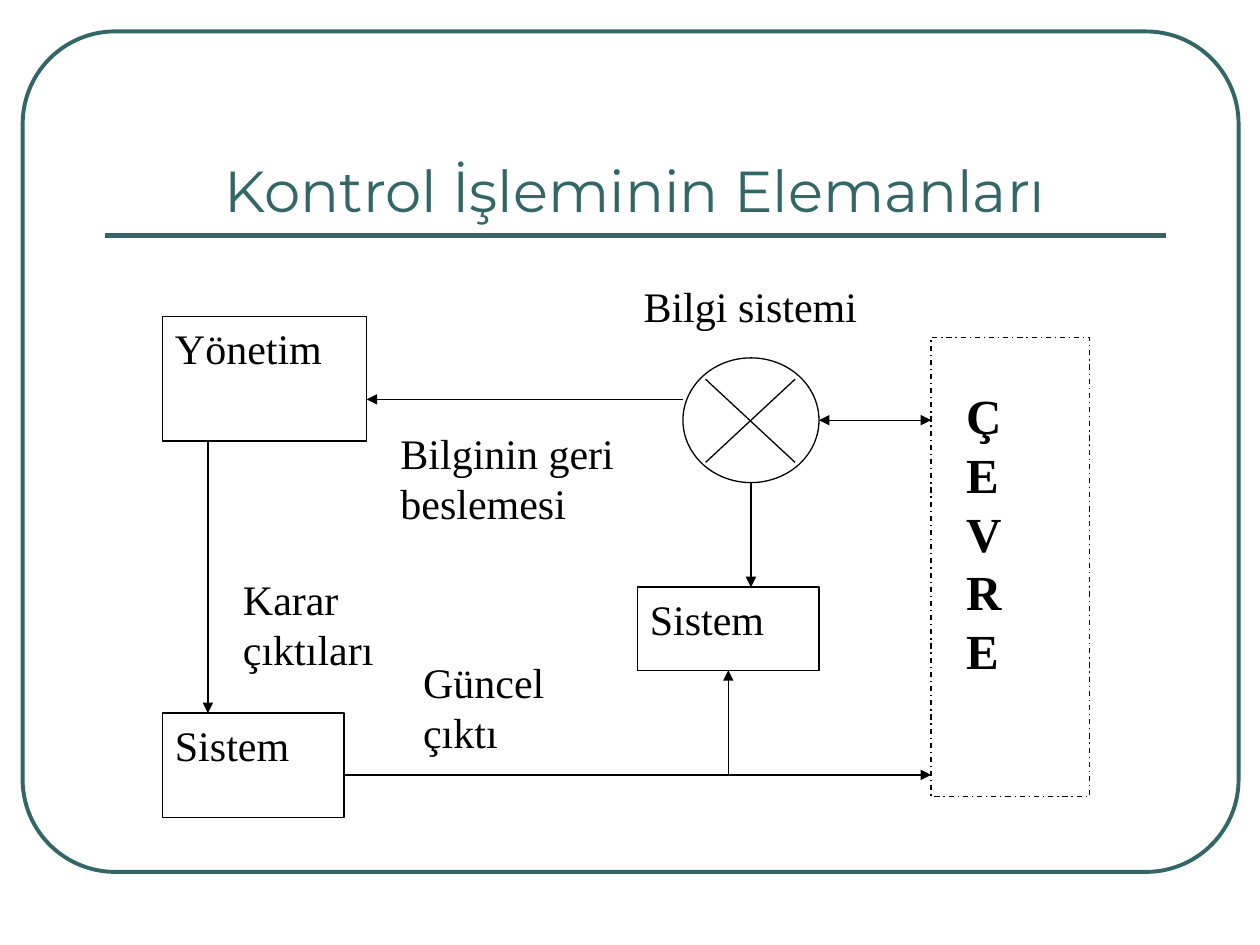
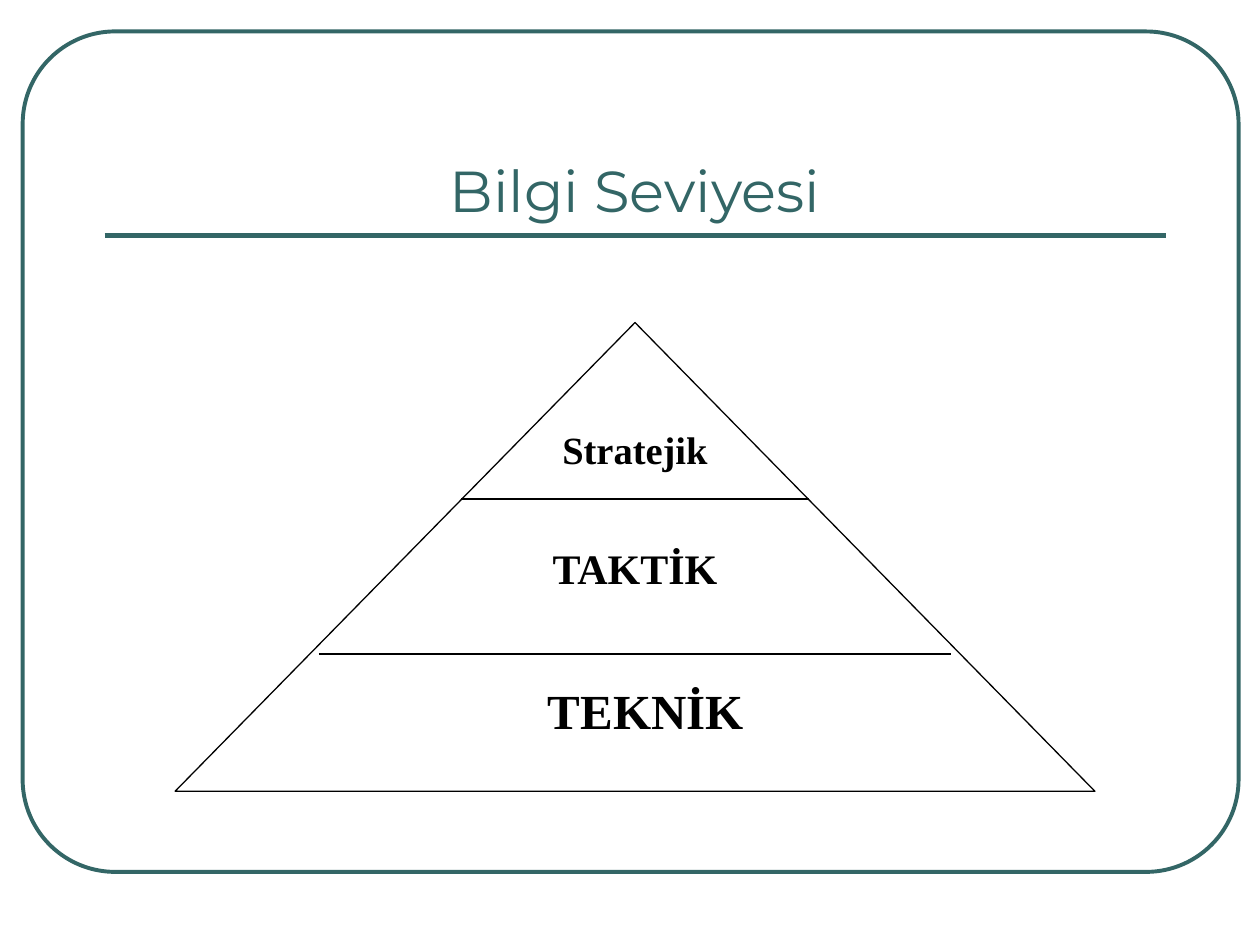
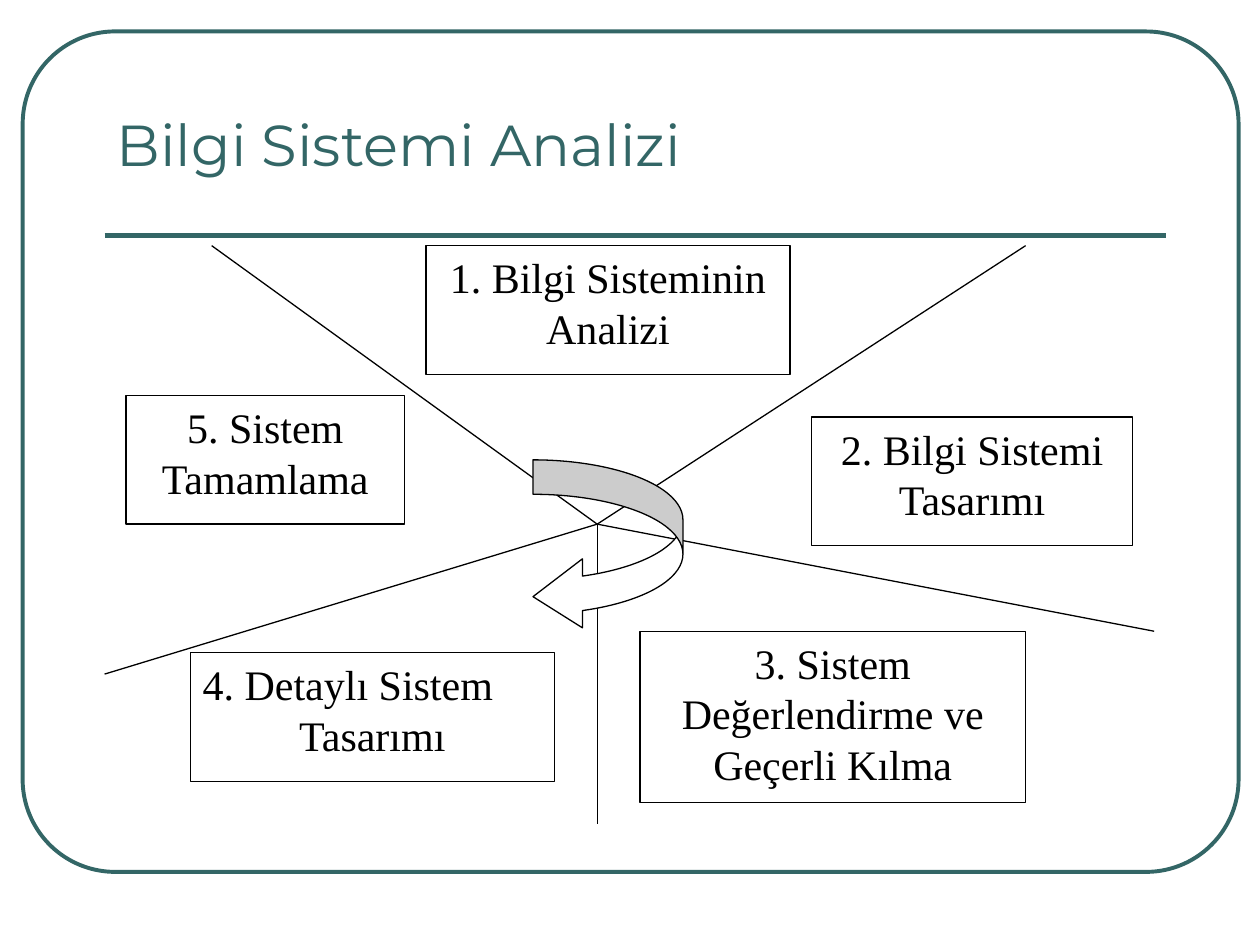
from dataclasses import dataclass

import pptx
import pptx.dml.color
import pptx.enum.dml
import pptx.enum.shapes
import pptx.enum.text
import pptx.oxml
import pptx.oxml.ns
import pptx.util
from pptx.util import Inches, Pt

TEAL, BLACK, WHITE = "336666", "000000", "FFFFFF"
TITLE_FONT, BODY_FONT = "Montserrat", "Times New Roman"
SHAPE = pptx.enum.shapes.MSO_SHAPE
LEFT = pptx.enum.text.PP_ALIGN.LEFT
CENTER = pptx.enum.text.PP_ALIGN.CENTER
ANCHOR = pptx.enum.text.MSO_ANCHOR


@dataclass
class Box:
    """A region in inches."""
    left: float
    top: float
    width: float
    height: float

    @property
    def right(self):
        return self.left + self.width

    @property
    def bottom(self):
        return self.top + self.height

    @property
    def center_x(self):
        return self.left + self.width / 2

    @property
    def center_y(self):
        return self.top + self.height / 2

    def inner(self, dx, dy, width, height):
        return Box(self.left + dx, self.top + dy, width, height)

    def point(self, dx, dy):
        return self.left + dx, self.top + dy

    def lengths(self):
        return [Inches(v) for v in (self.left, self.top, self.width, self.height)]


FRAME = Box(0.18, 0.25, 9.65, 6.67)
TITLE = Box(0.83, 0.58, 8.42, 1.25)
RULE_Y = 1.87


def rgb(color):
    return pptx.dml.color.RGBColor.from_string(color)


def write(frame, lines, size, font=BODY_FONT, color=BLACK, bold=False,
          aligns=(LEFT,), anchor=ANCHOR.TOP):
    """Write one paragraph per line; the last alignment serves the remaining lines."""
    frame.word_wrap = True
    frame.vertical_anchor = anchor
    for i, line in enumerate(lines):
        paragraph = frame.add_paragraph() if i else frame.paragraphs[0]
        paragraph.text = line
        paragraph.alignment = aligns[min(i, len(aligns) - 1)]
        paragraph.font.name = font
        paragraph.font.size = Pt(size)
        paragraph.font.bold = bold
        paragraph.font.color.rgb = rgb(color)


def draw(slide, kind, box, line=BLACK, weight=0.75, fill=WHITE):
    shape = slide.shapes.add_shape(kind, *box.lengths())
    shape.shadow.inherit = False
    if fill:
        shape.fill.solid()
        shape.fill.fore_color.rgb = rgb(fill)
    else:
        shape.fill.background()
    shape.line.color.rgb = rgb(line)
    shape.line.width = Pt(weight)
    return shape


def card(slide, box, *lines, size=24, line=BLACK, **style):
    shape = draw(slide, SHAPE.RECTANGLE, box, line)
    write(shape.text_frame, lines, size, **style)


def label(slide, box, *lines, **style):
    """A card whose outline blends into the background."""
    card(slide, box, *lines, line=WHITE, **style)


def connect(slide, start, end, color=BLACK, weight=0.75, arrows=()):
    """Join two points; arrows holds "head" (at start) and/or "tail" (at end)."""
    connector = slide.shapes.add_connector(
        pptx.enum.shapes.MSO_CONNECTOR.STRAIGHT, *[Inches(v) for v in (*start, *end)])
    connector.line.color.rgb = rgb(color)
    connector.line.width = Pt(weight)
    qn = pptx.oxml.ns.qn
    line = connector.line._get_or_add_ln()
    for end_name in arrows:
        mark = line.makeelement(qn(f"a:{end_name}End"), {"type": "triangle"})
        line.append(mark)
    properties = connector._element.spPr
    properties.append(properties.makeelement(qn("a:effectLst"), {}))


def start_slide(deck, title, box=TITLE, align=CENTER):
    """Add a slide with the shared frame, rule and title."""
    slide = deck.slides.add_slide(deck.slide_layouts[6])
    frame = draw(slide, SHAPE.ROUNDED_RECTANGLE, FRAME, TEAL, 2.25, fill=None)
    frame.adjustments[0] = 0.11
    connect(slide, (TITLE.left, RULE_Y), (TITLE.right, RULE_Y), TEAL, 3)
    heading = slide.shapes.add_textbox(*box.lengths())
    write(heading.text_frame, [title], 33, TITLE_FONT, TEAL,
          aligns=(align,), anchor=ANCHOR.BOTTOM)
    return slide


def control_loop(slide, area):
    management = area.inner(0, 0.33, 1.62, 0.99)
    lower_system = area.inner(0, 3.48, 1.44, 0.83)
    middle_system = area.inner(3.77, 2.48, 1.44, 0.66)
    junction = area.inner(4.13, 0.66, 1.08, 0.99)
    environment = area.inner(6.1, 0.5, 1.26, 3.64)

    draw(slide, SHAPE.OVAL, junction)
    border = draw(slide, SHAPE.RECTANGLE, environment)
    border.line.dash_style = pptx.enum.dml.MSO_LINE.DASH_DOT
    card(slide, management, "Yönetim")
    card(slide, lower_system, "Sistem")
    card(slide, middle_system, "Sistem")

    label(slide, area.inner(1.79, 1.16, 2.15, 0.83), "Bilginin geri beslemesi")
    label(slide, area.inner(3.41, 0, 2.51, 0.5), "Bilgi sistemi", aligns=(CENTER,))
    label(slide, environment.inner(0.18, 0.33, 0.72, 2.65), *"ÇEVRE", size=28, bold=True)
    label(slide, area.inner(0.54, 2.32, 1.44, 0.83), "Karar", "çıktıları")
    label(slide, area.inner(1.97, 2.98, 1.44, 0.83), "Güncel", "çıktı")

    decision_x = management.left + 0.36
    feedback_y = junction.top + 0.33
    output_x = middle_system.left + 0.72
    output_y = lower_system.top + 0.49
    tail, both = ("tail",), ("head", "tail")
    for start, end, arrows in (
        ((decision_x, management.bottom), (decision_x, lower_system.top), tail),
        ((junction.left, feedback_y), (management.right, feedback_y), tail),
        ((junction.center_x, junction.bottom), (junction.center_x, middle_system.top), tail),
        ((lower_system.right, output_y), (environment.left, output_y), tail),
        ((output_x, output_y), (output_x, middle_system.bottom), tail),
        ((junction.right, junction.center_y), (environment.left, junction.center_y), both),
    ):
        connect(slide, start, end, arrows=arrows)

    cross = junction.inner(0.18, 0.17, 0.71, 0.66)
    connect(slide, (cross.left, cross.top), (cross.right, cross.bottom))
    connect(slide, (cross.right, cross.top), (cross.left, cross.bottom))


def level_pyramid(slide, area):
    draw(slide, SHAPE.ISOSCELES_TRIANGLE, area)
    for inset, depth in ((2.27, 1.4), (1.14, 2.63)):
        y = area.top + depth
        connect(slide, (area.left + inset, y), (area.right - inset, y))
    for level, size, *place in (
        ("Stratejik", 22, 2.92, 0.77, 1.46, 0.46),
        ("TAKTİK", 24, 2.27, 1.7, 2.76, 0.62),
        ("TEKNİK", 28, 1.95, 2.79, 3.57, 0.62),
    ):
        label(slide, area.inner(*place), level, size=size, bold=True, aligns=(CENTER,))


def analysis_cycle(slide, area):
    hub = area.point(3.91, 2.21)
    for spoke in ((3.91, 4.59), (0, 3.4), (7.31, 0), (0.85, 0), (8.33, 3.06)):
        connect(slide, hub, area.point(*spoke))
    for place, *lines in (
        ((2.55, 0, 2.89, 1.02), "1. Bilgi Sisteminin Analizi"),
        ((5.61, 1.36, 2.55, 1.02), "2. Bilgi Sistemi Tasarımı"),
        ((4.25, 3.06, 3.06, 1.36), "3. Sistem Değerlendirme ve Geçerli Kılma"),
        ((0.68, 3.23, 2.89, 1.02), "4. Detaylı Sistem", "Tasarımı"),
        ((0.17, 1.19, 2.21, 1.02), "5. Sistem Tamamlama"),
    ):
        aligns = (LEFT, CENTER) if len(lines) > 1 else (CENTER,)
        card(slide, area.inner(*place), *lines, aligns=aligns)
    turn = draw(slide, SHAPE.CURVED_LEFT_ARROW, area.inner(3.4, 1.7, 1.19, 1.36))
    for i, ratio in enumerate((0.23, 0.46, 0.33)):
        turn.adjustments[i] = ratio


def main():
    deck = pptx.Presentation()
    deck.slide_width, deck.slide_height = Inches(10), Inches(7.5)
    control_loop(start_slide(deck, "Kontrol İşleminin Elemanları"),
                 Box(1.29, 2.18, 7.36, 4.31))
    level_pyramid(start_slide(deck, "Bilgi Seviyesi"), Box(1.39, 2.56, 7.3, 3.72))
    analysis_cycle(start_slide(deck, "Bilgi Sistemi Analizi",
                               TITLE.inner(0, 0, 8.42, 0.88), LEFT),
                   Box(0.83, 1.95, 8.33, 4.59))
    deck.save("out.pptx")


if __name__ == "__main__":
    main()
